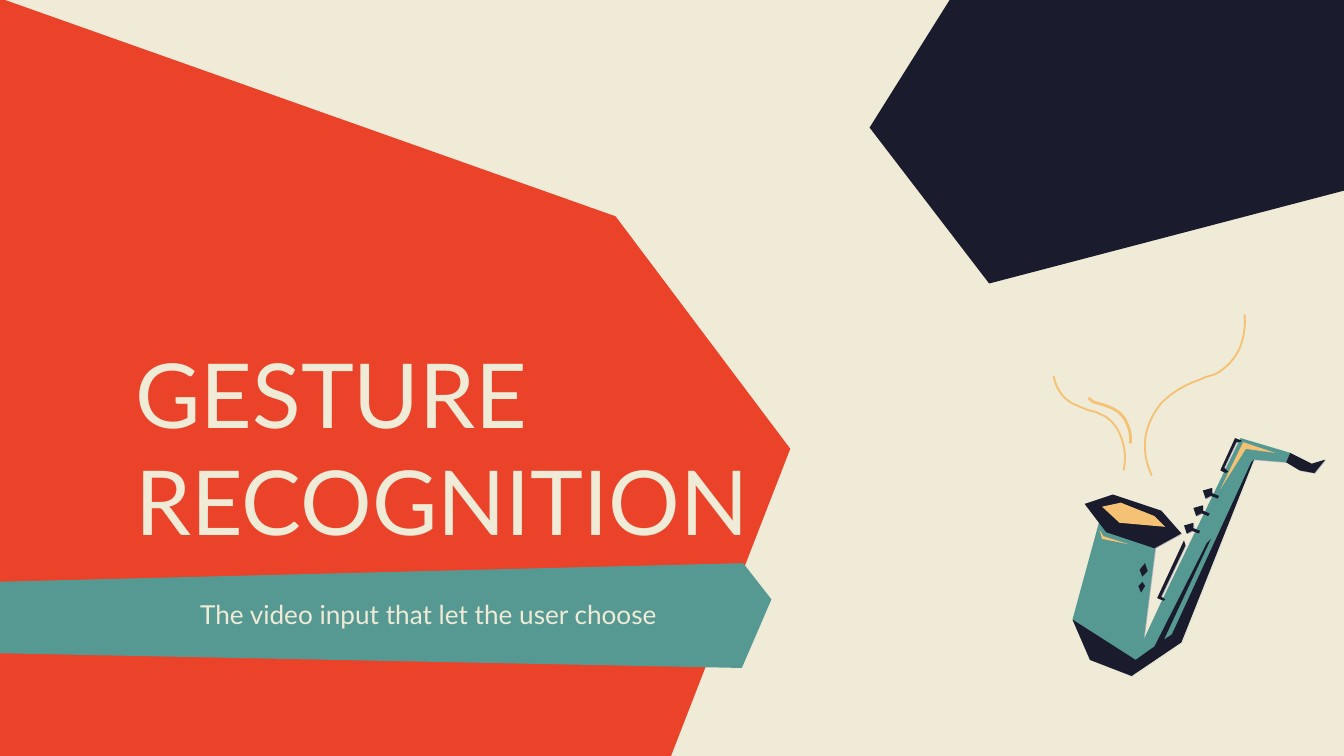
from pptx import Presentation
from pptx.dml.color import RGBColor
from pptx.enum.text import MSO_ANCHOR
from pptx.util import Inches, Pt

CREAM = RGBColor(0xEF, 0xEB, 0xD7)
NAVY = RGBColor(0x1A, 0x1B, 0x2C)
RED = RGBColor(0xEB, 0x43, 0x2A)
TEAL = RGBColor(0x56, 0x99, 0x92)
GOLD = RGBColor(0xF5, 0xC1, 0x74)
GREY = RGBColor(0xB9, 0xB4, 0xBD)

PANELS = [
    (NAVY, [(7.16, -0.15), (6.47, 0.95), (7.36, 2.11), (10.15, 1.38), (10.11, -0.03)]),
    (RED, [(-0.17, 5.64), (-0.05, 2.8), (-0.02, -0.02), (4.58, 1.61),
           (5.88, 3.34), (4.96, 5.71)]),
    (TEAL, [(5.53, 4.19), (5.74, 4.46), (5.52, 4.97), (-0.05, 4.86), (-0.06, 4.33)]),
]

BODY = [(9.23, 3.26), (8.64, 4.48), (8.51, 4.76), (8.6, 4.05), (8.41, 3.93),
        (8.19, 3.84), (7.98, 4.61), (8.11, 4.91), (8.42, 5.03), (8.79, 4.78),
        (9.33, 3.42), (9.57, 3.44), (9.6, 3.37)]
SHINE = [(9.25, 3.29), (9.08, 3.64), (9.27, 3.34), (9.49, 3.37)]
BELL = [(8.28, 3.68), (8.07, 3.75), (8.23, 3.96), (8.59, 4.08), (8.79, 3.97), (8.64, 3.8)]
STUDS = [
    [(8.52, 4.19), (8.48, 4.24), (8.5, 4.29), (8.54, 4.25)],
    [(8.5, 4.33), (8.47, 4.36), (8.49, 4.41), (8.52, 4.36)],
]
KEY = [(0.07, 0), (0, 0.02), (0.02, 0.08), (0.06, 0.06), (0.11, 0.08),
       (0.12, 0.06), (0.07, 0.04)]
KEYS = [(8.81, 3.89), (8.88, 3.76), (8.95, 3.63)]
RODS = [
    [(8.81, 4.02), (8.61, 4.45), (8.66, 4.47), (8.67, 4.46), (8.64, 4.44), (8.82, 4.06)],
    [(9.19, 3.26), (9.08, 3.5), (9.12, 3.52), (9.14, 3.51), (9.11, 3.48),
     (9.2, 3.29), (9.23, 3.29), (9.24, 3.28)],
]
GLINT = [(8.18, 3.94), (8.2, 4.01), (8.4, 4.05), (8.21, 3.99)]
MOUTH = [(8.34, 3.74), (8.2, 3.77), (8.33, 3.89), (8.67, 3.92), (8.59, 3.84)]
BASE = [(9.33, 3.42), (9.31, 3.44), (8.72, 4.72), (8.66, 4.76), (9.01, 4.01),
        (8.98, 4.04), (8.59, 4.81), (8.45, 4.91), (7.98, 4.61), (8.11, 4.91),
        (8.42, 5.03), (8.79, 4.78)]
REED = [(9.6, 3.37), (9.57, 3.44), (9.67, 3.5), (9.78, 3.52), (9.86, 3.42), (9.76, 3.45)]

STEAM = [
    (1, [(7.84, 2.8), (7.86, 2.91), (7.93, 2.99), (8.02, 3.02), (8.04, 3.03),
         (8.07, 3.04), (8.09, 3.05), (8.12, 3.06), (8.15, 3.06), (8.18, 3.08),
         (8.25, 3.1), (8.31, 3.17), (8.34, 3.25), (8.37, 3.33), (8.38, 3.41),
         (8.36, 3.5)]),
    (1.5, [(8.1, 2.96), (8.12, 2.98), (8.14, 3), (8.17, 3), (8.19, 3.01),
           (8.21, 3.01), (8.23, 3.02), (8.29, 3.04), (8.34, 3.07), (8.37, 3.12),
           (8.4, 3.18), (8.42, 3.23), (8.41, 3.3)]),
    (1, [(9.26, 2.34), (9.27, 2.44), (9.25, 2.53), (9.22, 2.6), (9.18, 2.68),
         (9.12, 2.74), (9.05, 2.78), (9.01, 2.8), (8.97, 2.8), (8.94, 2.82),
         (8.82, 2.86), (8.72, 2.92), (8.64, 3), (8.56, 3.1), (8.51, 3.22),
         (8.52, 3.34), (8.52, 3.41), (8.54, 3.47), (8.57, 3.54)]),
]


def move(points, dx, dy):
    return [(x + dx, y + dy) for x, y in points]


def trace(shapes, points, close):
    dots = [(Inches(x), Inches(y)) for x, y in points]
    pen = shapes.build_freeform(*dots[0])
    pen.add_line_segments(dots[1:], close=close)
    shape = pen.convert_to_shape()
    shape.shadow.inherit = False
    return shape


def add_patch(shapes, color, points):
    shape = trace(shapes, points, True)
    shape.fill.solid()
    shape.fill.fore_color.rgb = color
    shape.line.fill.background()


def bend(knots, steps=10):
    points = [knots[0]]
    for i in range(0, len(knots) - 1, 3):
        a, b, c, d = knots[i:i + 4]
        for step in range(1, steps + 1):
            t = step / steps
            u = 1 - t
            points.append(tuple(
                u**3 * a[k] + 3 * u * u * t * b[k] + 3 * u * t * t * c[k] + t**3 * d[k]
                for k in (0, 1)))
    return points


def add_wisp(shapes, width, knots):
    shape = trace(shapes, bend(knots), False)
    shape.fill.background()
    shape.line.color.rgb = GOLD
    shape.line.width = Pt(width)


def add_sax(shapes):
    darks = STUDS + [move(KEY, x, y) for x, y in KEYS] + RODS
    parts = [(TEAL, BODY), (GOLD, SHINE), (NAVY, BELL)]
    parts += [(NAVY, dark) for dark in darks]
    parts += [(GOLD, GLINT), (GOLD, MOUTH), (NAVY, BASE), (NAVY, REED)]
    for color, points in parts:
        shade = CREAM if points is BASE else GREY
        add_patch(shapes, shade, move(points, 0.005, 0.005))
    for color, points in parts:
        add_patch(shapes, color, points)


def add_text(slide, text, size, box, anchor):
    shape = slide.shapes.add_textbox(*[Inches(n) for n in box])
    frame = shape.text_frame
    frame.word_wrap = True
    frame.vertical_anchor = anchor
    frame.margin_left = frame.margin_right = Inches(0.1)
    frame.margin_top = frame.margin_bottom = Inches(0.1)
    run = frame.paragraphs[0].add_run()
    run.text = text
    run.font.name = "Lato"
    run.font.size = Pt(size)
    run.font.color.rgb = CREAM


def main():
    deck = Presentation()
    deck.slide_width = Inches(10)
    deck.slide_height = Inches(10) * 9 // 16
    slide = deck.slides.add_slide(deck.slide_layouts[6])
    slide.background.fill.solid()
    slide.background.fill.fore_color.rgb = CREAM
    for color, points in PANELS:
        add_patch(slide.shapes, color, points)
    add_text(slide, "GESTURE RECOGNITION", 48, (0.91, 2.05, 5.07, 2.17),
             MSO_ANCHOR.BOTTOM)
    add_text(slide, "The video input that let the user choose", 14,
             (1.39, 4.35, 4.81, 0.54), MSO_ANCHOR.TOP)
    add_sax(slide.shapes.add_group_shape().shapes)
    steam = slide.shapes.add_group_shape().shapes
    for width, knots in STEAM:
        add_wisp(steam, width, knots)
    deck.save("out.pptx")


if __name__ == "__main__":
    main()
